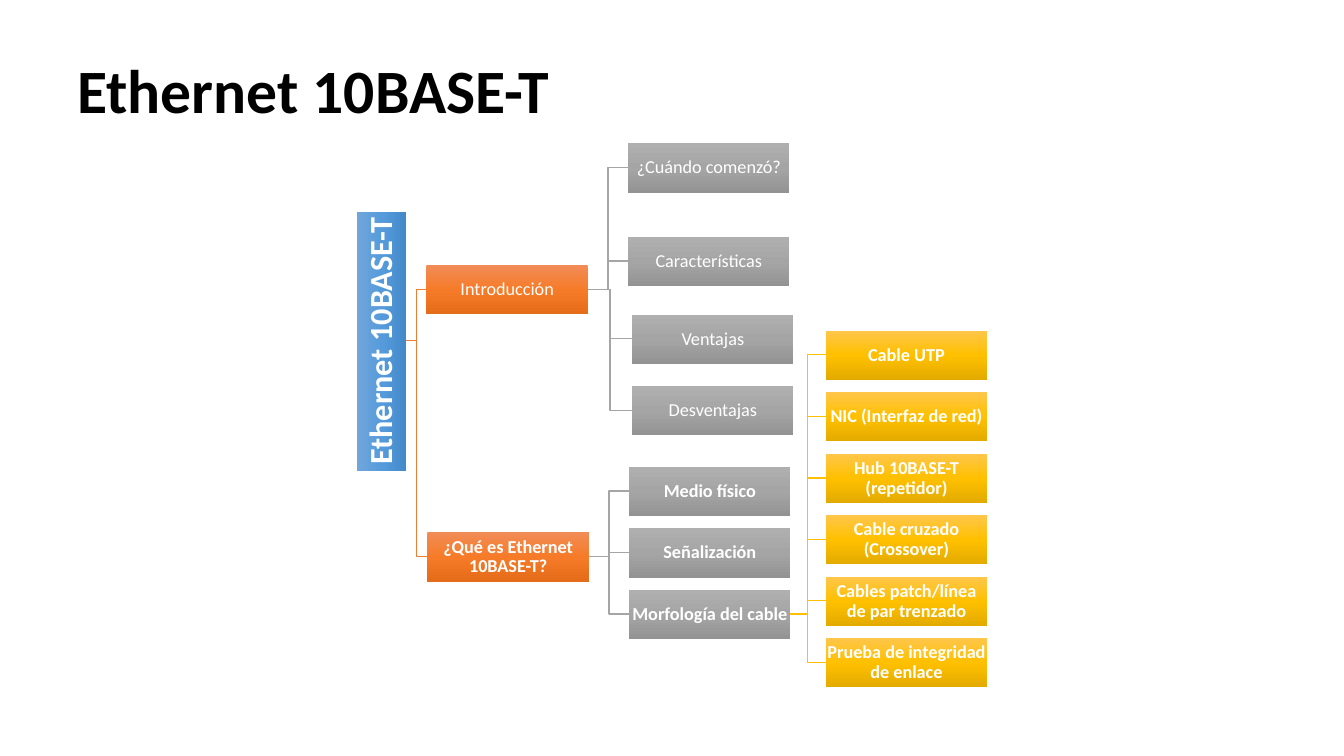
import copy

import pptx
import pptx.dml.color
import pptx.enum.shapes
import pptx.enum.text
import pptx.oxml.ns
import pptx.util

PX = 9144  # EMU per px, 100 px to the inch
BOX_W, BOX_H = 160, 49
ROOT_LENGTH, ROOT_CENTER_X, ROOT_CENTER_Y = 257, 378, 338
ROW_STEP = 61
FONT = "Calibri"
COLORS = {
    "title": "000000",
    "label": "FFFFFF",
    "root": ("71A6DB", "559BDB", "448ACA"),
    "branch": ("F18C57", "F67B28", "E56C19"),
    "topic": ("AFAFAF", "A5A5A5", "939393"),
    "detail": ("FFC64B", "FFC000", "E3AB00"),
}
LINKS = {"branch": "ED7D31", "topic": "A5A5A5", "detail": "FFC000"}

# text, parent, level, left, top, bold
nodes = [
    ("Introducción", "root", "branch", 423, 263, False),
    ("¿Cuándo comenzó?", "Introducción", "topic", 623, 142, False),
    ("Características", "Introducción", "topic", 623, 235, False),
    ("Ventajas", "Introducción", "topic", 627, 312, False),
    ("Desventajas", "Introducción", "topic", 627, 383, False),
    ("¿Qué es Ethernet 10BASE-T?", "root", "branch", 424, 528, True),
]
physical_topics = ["Medio físico", "Señalización", "Morfología del cable"]
for row, topic in enumerate(physical_topics):
    nodes.append((topic, "¿Qué es Ethernet 10BASE-T?", "topic",
                  624, 463 + row * ROW_STEP, True))
cable_details = [
    "Cable UTP", "NIC (Interfaz de red)", "Hub 10BASE-T (repetidor)",
    "Cable cruzado (Crossover)", "Cables patch/línea de par trenzado",
    "Prueba de integridad de enlace",
]
for row, detail in enumerate(cable_details):
    nodes.append((detail, "Morfología del cable", "detail",
                  819, 328 + row * ROW_STEP, True))


def add_label(shape, text, size, color, bold, align, inset_x, inset_y):
    frame = shape.text_frame
    frame.word_wrap = True
    frame.vertical_anchor = pptx.enum.text.MSO_ANCHOR.MIDDLE
    frame.margin_left = frame.margin_right = inset_x * PX
    frame.margin_top = frame.margin_bottom = inset_y * PX
    paragraph = frame.paragraphs[0]
    paragraph.alignment = align
    paragraph.line_spacing = 0.9
    run = paragraph.add_run()
    run.text = text
    run.font.name = FONT
    run.font.size = pptx.util.Pt(size)
    run.font.bold = bold
    run.font.color.rgb = pptx.dml.color.RGBColor.from_string(color)


def add_node(text, level, left, top, width, size, bold, inset):
    """Add a box with a three-stop vertical gradient and a centred label."""
    box = slide.shapes.add_shape(
        pptx.enum.shapes.MSO_SHAPE.RECTANGLE,
        left * PX, top * PX, width * PX, BOX_H * PX)
    box.shadow.inherit = False
    box.line.fill.background()
    box.fill.gradient()
    box.fill.gradient_angle = 270
    stop_list = box.element.spPr.find(".//" + pptx.oxml.ns.qn("a:gsLst"))
    stop_list.append(copy.deepcopy(stop_list[0]))
    for stop, position, color in zip(box.fill.gradient_stops, (0, 0.5, 1), COLORS[level]):
        stop.position = position
        stop.color.rgb = pptx.dml.color.RGBColor.from_string(color)
    add_label(box, text, size, COLORS["label"], bold,
              pptx.enum.text.PP_ALIGN.CENTER, inset, inset)
    return box


presentation = pptx.Presentation()
presentation.slide_width = 1333 * PX
presentation.slide_height = 750 * PX
slide = presentation.slides.add_slide(presentation.slide_layouts[6])

# Links lie behind the boxes and turn halfway between parent and child
exits = {"root": (ROOT_CENTER_X + BOX_H // 2 + 1, ROOT_CENTER_Y)}
for text, parent, level, left, top, bold in nodes:
    exits[text] = (left + BOX_W, top + BOX_H // 2)
for text, parent, level, left, top, bold in nodes:
    start_x, start_y = exits[parent]
    end_y = exits[text][1]
    turn_x = (start_x + left) // 2
    builder = slide.shapes.build_freeform(start_x, start_y, scale=PX)
    builder.add_line_segments(
        [(turn_x, start_y), (turn_x, end_y), (left, end_y)], close=False)
    link = builder.convert_to_shape()
    link.shadow.inherit = False
    link.fill.background()
    link.line.width = pptx.util.Pt(1)
    link.line.color.rgb = pptx.dml.color.RGBColor.from_string(LINKS[level])

root = add_node("Ethernet 10BASE-T", "root", ROOT_CENTER_X - ROOT_LENGTH // 2,
                ROOT_CENTER_Y - BOX_H // 2, ROOT_LENGTH, 23, True, 2)
root.rotation = 270
for text, parent, level, left, top, bold in nodes:
    add_node(text, level, left, top, BOX_W, 13, bold, 1)

title = slide.shapes.add_textbox(67 * PX, 30 * PX, 1200 * PX, 125 * PX)
add_label(title, "Ethernet 10BASE-T", 44, COLORS["title"], True,
          pptx.enum.text.PP_ALIGN.LEFT, 10, 5)

presentation.save("out.pptx")
